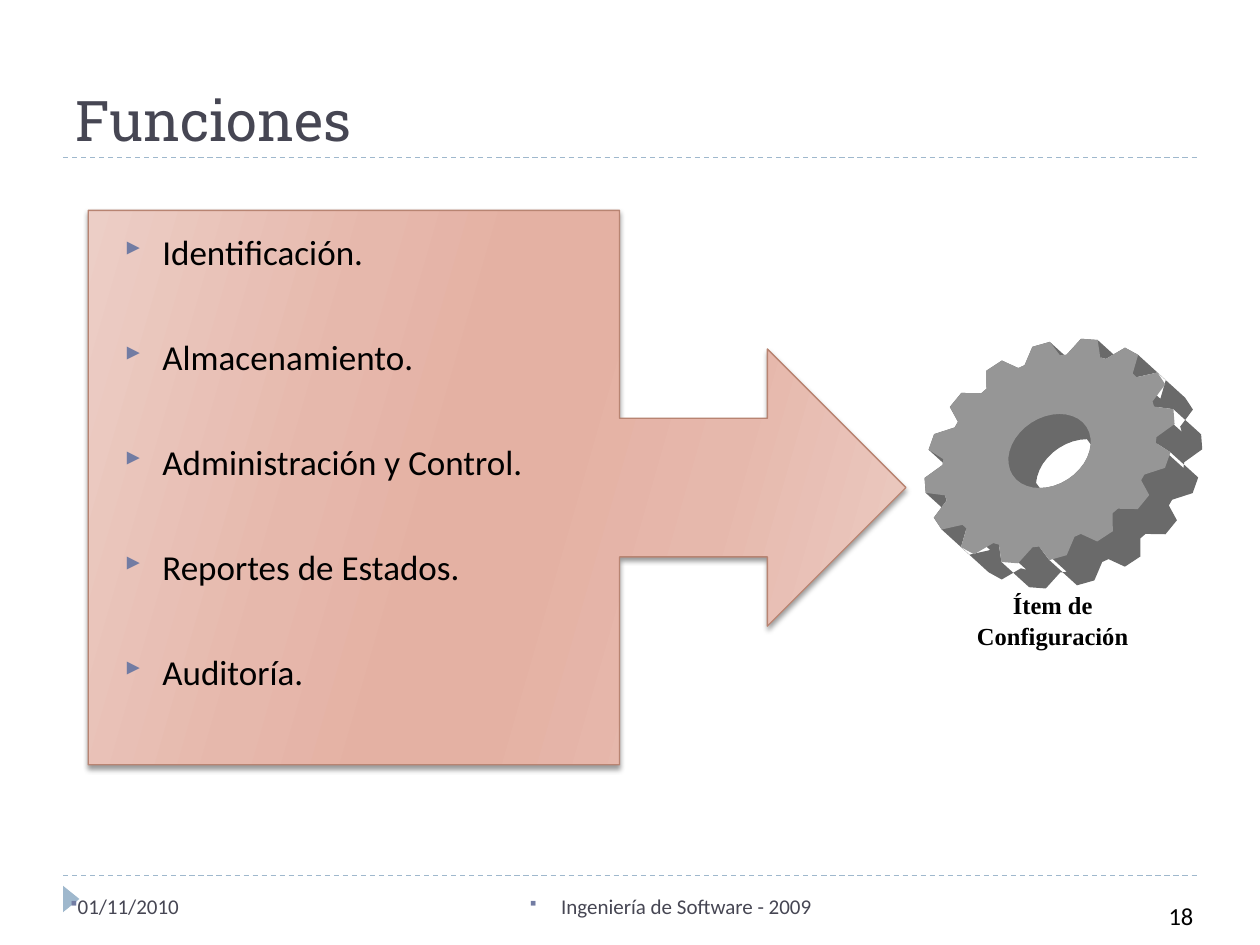
from math import atan2, cos, sin, radians
from lxml.etree import SubElement
from pptx import Presentation
from pptx.dml.color import RGBColor
from pptx.enum.dml import MSO_LINE
from pptx.enum.shapes import MSO_CONNECTOR, MSO_SHAPE
from pptx.enum.text import MSO_ANCHOR, PP_ALIGN
from pptx.oxml import parse_xml
from pptx.oxml.ns import qn
from pptx.util import Inches, Pt

# Content
TITLE = "Funciones"
FUNCTIONS = ["Identificación.", "Almacenamiento.", "Administración y Control.",
             "Reportes de Estados.", "Auditoría."]
ITEM_LABEL = ["Ítem de", "Configuración"]

# Formats
INK, RULE, BULLET = "464653", "9FB8CD", "727CA3"
TITLE_FONT = {"name": "Roboto Slab", "size": Pt(32), "color": INK}
BODY_FONT = {"name": "Calibri", "size": Pt(20), "color": "000000"}
FOOTER_FONT = {"name": "Calibri", "size": Pt(12), "color": INK}
NUMBER_FONT = {"name": "Calibri", "size": Pt(14), "color": "000000"}
LABEL_FONT = {"name": "Times New Roman", "size": Pt(14), "bold": True, "color": "000000"}
CALLOUT_STOPS = [(0, "ECCEC6"), (30, "E6B8AC"), (45, "E4B1A3"),
                 (55, "E4B1A3"), (73, "E6B8AC"), (100, "ECCEC6")]
DRAWING = 'xmlns:a="http://schemas.openxmlformats.org/drawingml/2006/main"'
TRIANGLE, SQUARE = ("Wingdings 3", "}"), ("Wingdings", "§")

# Text box, lines, format, alignment, paragraph format, bullet and its indent
FOOTERS = [
    ((0.46, 7.04, 2.33, 0.4), ["01/11/2010"], FOOTER_FONT, PP_ALIGN.LEFT, {},
     (SQUARE, 0)),
    ((3.37, 7.04, 3.17, 0.4), ["Ingeniería de Software - 2009"], FOOTER_FONT,
     PP_ALIGN.RIGHT, {}, (SQUARE, 0.25)),
    ((7.66, 7.1, 1.91, 0.33), ["18"], NUMBER_FONT, PP_ALIGN.RIGHT, {}, None),
]

# Gear seen at an angle: axes in inches, tilt in degrees
GEAR_CENTER, GEAR_AXES, GEAR_TILT = (8.33, 3.58), (1.06, 0.81), 33
GEAR_DEPTH = (0.22, 0.2)
TEETH, ROOT_RADIUS, HOLE_RADIUS = 16, 0.86, 0.33
TOOTH = [(-9.5, ROOT_RADIUS), (-4, 1), (4, 1), (9.5, ROOT_RADIUS)]
FACE_COLOR, SIDE_COLOR = "969696", "6A6A6A"


def color(value):
    return RGBColor.from_string(value)


def format_font(font, values):
    for name, value in values.items():
        if name == "color":
            font.color.rgb = color(value)
        else:
            setattr(font, name, value)


def add_bullet(para, mark, indent):
    typeface, character = mark
    properties = para._p.get_or_add_pPr()
    properties.set("marL", str(Inches(indent)))
    properties.set("indent", str(-Inches(indent)))
    SubElement(SubElement(properties, qn("a:buClr")), qn("a:srgbClr"), val=BULLET)
    SubElement(properties, qn("a:buSzPct"), val="76000")
    SubElement(properties, qn("a:buFont"), typeface=typeface, charset="2")
    SubElement(properties, qn("a:buChar"), char=character)


def fill_text(frame, lines, font, alignment, settings, bullet):
    frame.word_wrap = True
    for index, line in enumerate(lines):
        para = frame.paragraphs[0] if index == 0 else frame.add_paragraph()
        para.alignment = alignment
        for name, value in settings.items():
            if index or name != "space_before":
                setattr(para, name, value)
        if bullet:
            add_bullet(para, *bullet)
        span = para.add_run()
        span.text = line
        format_font(span.font, font)


def add_text(shapes, place, *text):
    box = shapes.add_textbox(*map(Inches, place))
    fill_text(box.text_frame, *text)


def add_rule(shapes, top):
    rule = shapes.add_connector(MSO_CONNECTOR.STRAIGHT, Inches(0.5), Inches(top),
                                Inches(9.5), Inches(top))
    rule.line.color.rgb = color(RULE)
    rule.line.width = Pt(0.75)
    rule.line.dash_style = MSO_LINE.DASH
    SubElement(rule._element.spPr, qn("a:effectLst"))


def fill_plain(shape, value):
    shape.shadow.inherit = False
    shape.fill.solid()
    shape.fill.fore_color.rgb = color(value)
    shape.line.fill.background()


def add_callout(shapes):
    callout = shapes.add_shape(MSO_SHAPE.RIGHT_ARROW_CALLOUT,
                               *map(Inches, (0.7, 1.67, 6.49, 4.4)))
    callout.line.color.rgb = color("B88472")
    callout.line.width = Pt(0.75)
    stops = "".join(f'<a:gs pos="{place * 1000}"><a:srgbClr val="{value}"/></a:gs>'
                    for place, value in CALLOUT_STOPS)
    properties = callout._element.spPr
    properties.find(qn("a:ln")).addprevious(parse_xml(
        f'<a:gradFill {DRAWING}><a:gsLst>{stops}</a:gsLst>'
        f'<a:lin ang="{16 * 60000}" scaled="0"/></a:gradFill>'))
    properties.append(parse_xml(
        f'<a:effectLst {DRAWING}><a:outerShdw blurRad="{Pt(3)}" dist="{Pt(2)}" '
        f'dir="{90 * 60000}" rotWithShape="0"><a:srgbClr val="000000">'
        '<a:alpha val="40000"/></a:srgbClr></a:outerShdw></a:effectLst>'))


def gear_point(degrees, radius):
    along = GEAR_AXES[0] * radius * cos(radians(degrees))
    across = GEAR_AXES[1] * radius * sin(radians(degrees))
    tilt = radians(-GEAR_TILT)
    return (GEAR_CENTER[0] + along * cos(tilt) - across * sin(tilt),
            GEAR_CENTER[1] + along * sin(tilt) + across * cos(tilt))


def edges(contour):
    return zip(contour, contour[1:] + contour[:1])


def pushed_back(point):
    return point[0] + GEAR_DEPTH[0], point[1] + GEAR_DEPTH[1]


def swept(contour):
    """Outline of the contour drawn out along the depth of the gear."""
    outline = []
    for start, end in edges(contour):
        facing = ((end[1] - start[1]) * GEAR_DEPTH[0]
                  + (start[0] - end[0]) * GEAR_DEPTH[1])
        for point in (start, end):
            point = pushed_back(point) if facing > 0 else point
            if point not in outline[-1:]:
                outline.append(point)
    return outline


def inside(point, contour):
    return all((end[0] - start[0]) * (point[1] - start[1])
               >= (end[1] - start[1]) * (point[0] - start[0])
               for start, end in edges(contour))


def overlap(front, back):
    points = ([point for point in front if inside(point, back)]
              + [point for point in back if inside(point, front)])
    middle_x, middle_y = (sum(values) / len(points) for values in zip(*points))
    return sorted(points, key=lambda point: atan2(point[1] - middle_y, point[0] - middle_x))


def add_outline(shapes, contours, fill):
    builder = None
    for contour in contours:
        first, *rest = [(x * 1000, y * 1000) for x, y in contour]
        if builder is None:
            builder = shapes.build_freeform(*first, scale=Inches(1) / 1000)
        else:
            builder.move_to(*first)
        builder.add_line_segments(rest, close=True)
    fill_plain(builder.convert_to_shape(), fill)


def add_gear(shapes):
    rim = [gear_point(360 / TEETH * tooth + turn, radius)
           for tooth in range(TEETH) for turn, radius in TOOTH]
    hole = [gear_point(turn, HOLE_RADIUS) for turn in range(0, 360, 10)]
    opening = overlap(hole, [pushed_back(point) for point in hole])
    add_outline(shapes, [swept(rim), opening[::-1]], SIDE_COLOR)
    add_outline(shapes, [rim, hole[::-1]], FACE_COLOR)


def main():
    deck = Presentation()
    deck.slide_width, deck.slide_height = Inches(10), Inches(7.5)
    page = deck.slides.add_slide(deck.slide_layouts[5])
    shapes = page.shapes

    # Rules and footer marker
    for top in (6.95, 1.25):
        add_rule(shapes, top)
    marker = shapes.add_shape(MSO_SHAPE.ISOSCELES_TRIANGLE,
                              *map(Inches, (0.46, 7.07, 0.21, 0.13)))
    marker.rotation = 90
    fill_plain(marker, RULE)

    # Title
    title = shapes.title
    title.left, title.top, title.width, title.height = map(Inches, (0.5, 0.18, 9, 1.08))
    title.text_frame.vertical_anchor = MSO_ANCHOR.BOTTOM
    fill_text(title.text_frame, [TITLE], TITLE_FONT, PP_ALIGN.LEFT, {}, None)

    # Functions in the callout
    add_callout(shapes)
    add_text(shapes, (0.89, 1.78, 4.65, 4.4), FUNCTIONS, BODY_FONT, PP_ALIGN.LEFT,
             {"space_before": Pt(36)}, (TRIANGLE, 0.3))

    # Gear and its label
    add_gear(shapes)
    add_text(shapes, (7.23, 4.62, 2.25, 0.6), ITEM_LABEL, LABEL_FONT, PP_ALIGN.CENTER,
             {"line_spacing": 1.05}, None)

    # Footer
    for footer in FOOTERS:
        add_text(shapes, *footer)

    deck.save("out.pptx")


if __name__ == "__main__":
    main()
